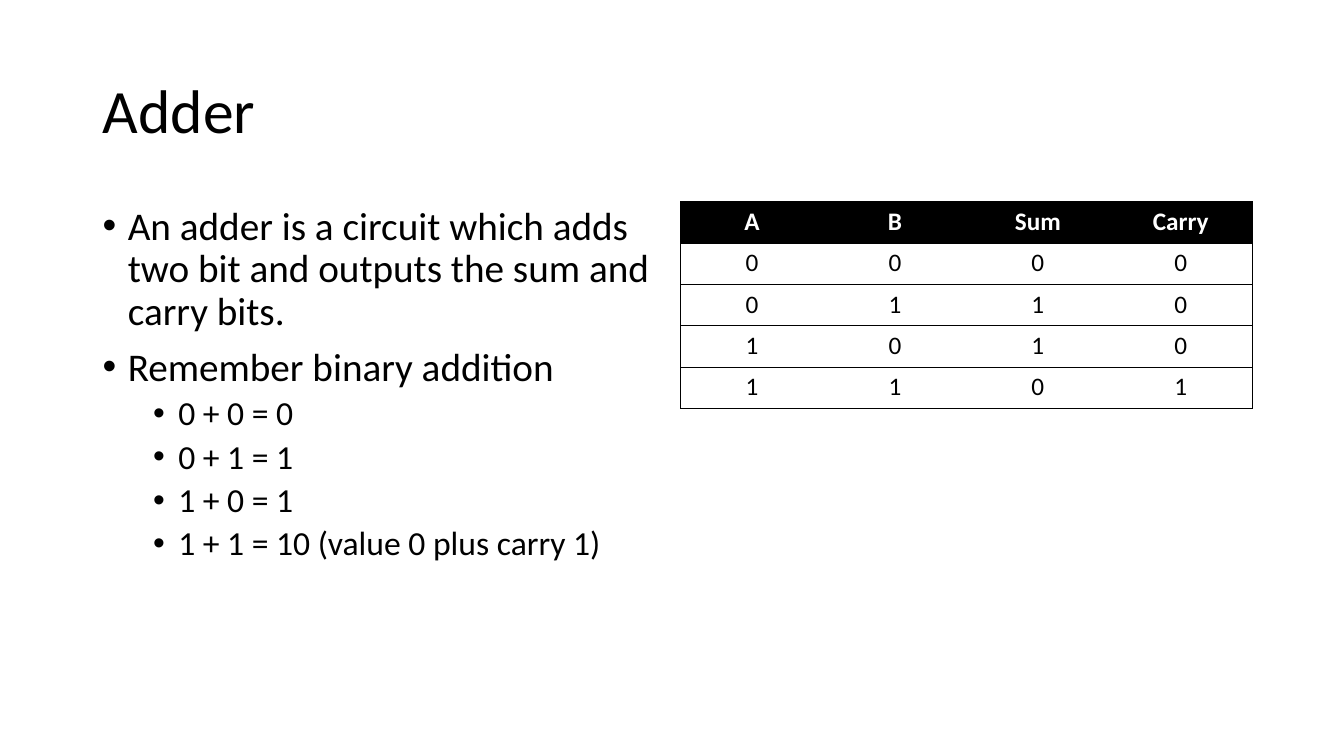
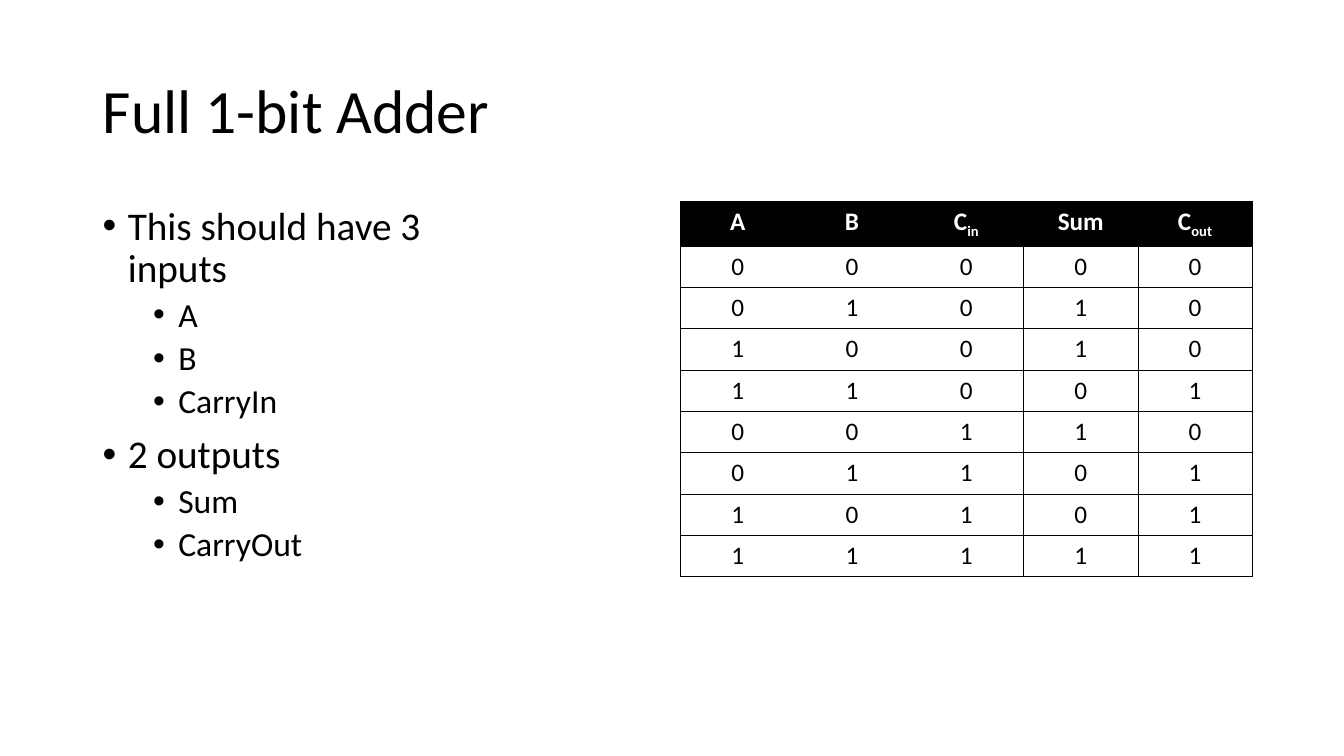
from lxml.etree import SubElement
from pptx import Presentation
from pptx.dml.color import RGBColor
from pptx.enum.text import MSO_ANCHOR, MSO_AUTO_SIZE, PP_ALIGN
from pptx.oxml.ns import qn
from pptx.util import Inches, Pt

COLORS = {"ink": "000000", "paper": "FFFFFF"}
FONT = "Calibri"
LEFT, CONTENT_TOP = 0.92, 2
TABLE_LEFT, TABLE_WIDTH, ROW_HEIGHT = 6.75, 5.67, 0.41
THIN, THICK = 0.5, 1
# (size, space before, left margin) per outline level
LEVELS = [(28, 10, 0.25), (24, 5, 0.75)]
HANGING = 0.25


def color(name):
    return RGBColor.from_string(COLORS[name])


def add_run(paragraph, text, size, ink="ink", bold=False):
    run = paragraph.add_run()
    run.text = text
    run.font.name = FONT
    run.font.size = Pt(size)
    run.font.bold = bold
    run.font.color.rgb = color(ink)
    return run


def add_titled_slide(prs, title):
    slide = prs.slides.add_slide(prs.slide_layouts[5])
    heading = slide.shapes.title
    heading.left, heading.top = Inches(LEFT), Inches(0.4)
    heading.width, heading.height = Inches(11.5), Inches(1.45)
    frame = heading.text_frame
    frame.word_wrap = True
    frame.auto_size = MSO_AUTO_SIZE.NONE
    frame.vertical_anchor = MSO_ANCHOR.MIDDLE
    paragraph = frame.paragraphs[0]
    paragraph.alignment = PP_ALIGN.LEFT
    paragraph.line_spacing = 0.9
    add_run(paragraph, title, 44)
    return slide


def add_bullet(paragraph, margin):
    properties = paragraph._p.get_or_add_pPr()
    properties.set("marL", str(Inches(margin)))
    properties.set("indent", str(-Inches(HANGING)))
    SubElement(properties, qn("a:buFont"), typeface="Arial")
    SubElement(properties, qn("a:buChar"), char="•")


def add_outline(slide, width, items):
    box = slide.shapes.add_textbox(
        Inches(LEFT), Inches(CONTENT_TOP), Inches(width), Inches(4.76))
    frame = box.text_frame
    frame.word_wrap = True
    for index, (level, text) in enumerate(items):
        paragraph = frame.add_paragraph() if index else frame.paragraphs[0]
        size, space_before, margin = LEVELS[level]
        add_bullet(paragraph, margin)
        paragraph.level = level
        paragraph.line_spacing = 0.9
        paragraph.space_before = Pt(space_before if index else 0)
        add_run(paragraph, text, size)


def set_borders(cell, left, right):
    properties = cell._tc.get_or_add_tcPr()
    widths = {"a:lnL": left, "a:lnR": right, "a:lnT": THIN, "a:lnB": THIN}
    for side, width in widths.items():
        border = SubElement(properties, qn(side), w=str(Pt(width)))
        if width:
            fill = SubElement(border, qn("a:solidFill"))
            SubElement(fill, qn("a:srgbClr"), val=COLORS["ink"])
        else:
            SubElement(border, qn("a:noFill"))


def fill_cell(cell, text, is_header):
    cell.fill.solid()
    cell.fill.fore_color.rgb = color("ink" if is_header else "paper")
    paragraph = cell.text_frame.paragraphs[0]
    paragraph.alignment = PP_ALIGN.CENTER
    ink = "paper" if is_header else "ink"
    base, _, subscript = text.partition("_")
    add_run(paragraph, base, 18, ink, is_header)
    if subscript:
        run = add_run(paragraph, subscript, 18, ink, is_header)
        run.font._element.set("baseline", "-25000")


def add_truth_table(slide, header, rows, dividers):
    lines = [header, *rows]
    count = len(header)
    table = slide.shapes.add_table(
        len(lines), count, Inches(TABLE_LEFT), Inches(CONTENT_TOP),
        Inches(TABLE_WIDTH), Inches(ROW_HEIGHT * len(lines))).table
    table.first_row = True
    table.horz_banding = False
    edges = {0: THIN, count: THIN, **dividers}
    for row, line in enumerate(lines):
        for column, text in enumerate(line):
            cell = table.cell(row, column)
            set_borders(cell, edges.get(column, 0), edges.get(column + 1, 0))
            fill_cell(cell, text, row == 0)


def main():
    prs = Presentation()
    prs.slide_width, prs.slide_height = Inches(13.33), Inches(7.5)

    adder = add_titled_slide(prs, "Adder")
    add_outline(adder, 5.67, [
        (0, "An adder is a circuit which adds two bit and outputs the sum "
            "and carry bits."),
        (0, "Remember binary addition"),
        (1, "0 + 0 = 0"),
        (1, "0 + 1 = 1"),
        (1, "1 + 0 = 1"),
        (1, "1 + 1 = 10 (value 0 plus carry 1)"),
    ])
    add_truth_table(adder, ["A", "B", "Sum", "Carry"],
                    ["0000", "0110", "1010", "1101"], {})

    full_adder = add_titled_slide(prs, "Full 1-bit Adder")
    add_outline(full_adder, 3.63, [
        (0, "This should have 3 inputs"),
        (1, "A"),
        (1, "B"),
        (1, "CarryIn"),
        (0, "2 outputs"),
        (1, "Sum"),
        (1, "CarryOut"),
    ])
    add_truth_table(full_adder, ["A", "B", "C_in", "Sum", "C_out"],
                    ["00000", "01010", "10010", "11001",
                     "00110", "01101", "10101", "11111"],
                    {3: THICK, 4: THIN})

    prs.save("out.pptx")


if __name__ == "__main__":
    main()
